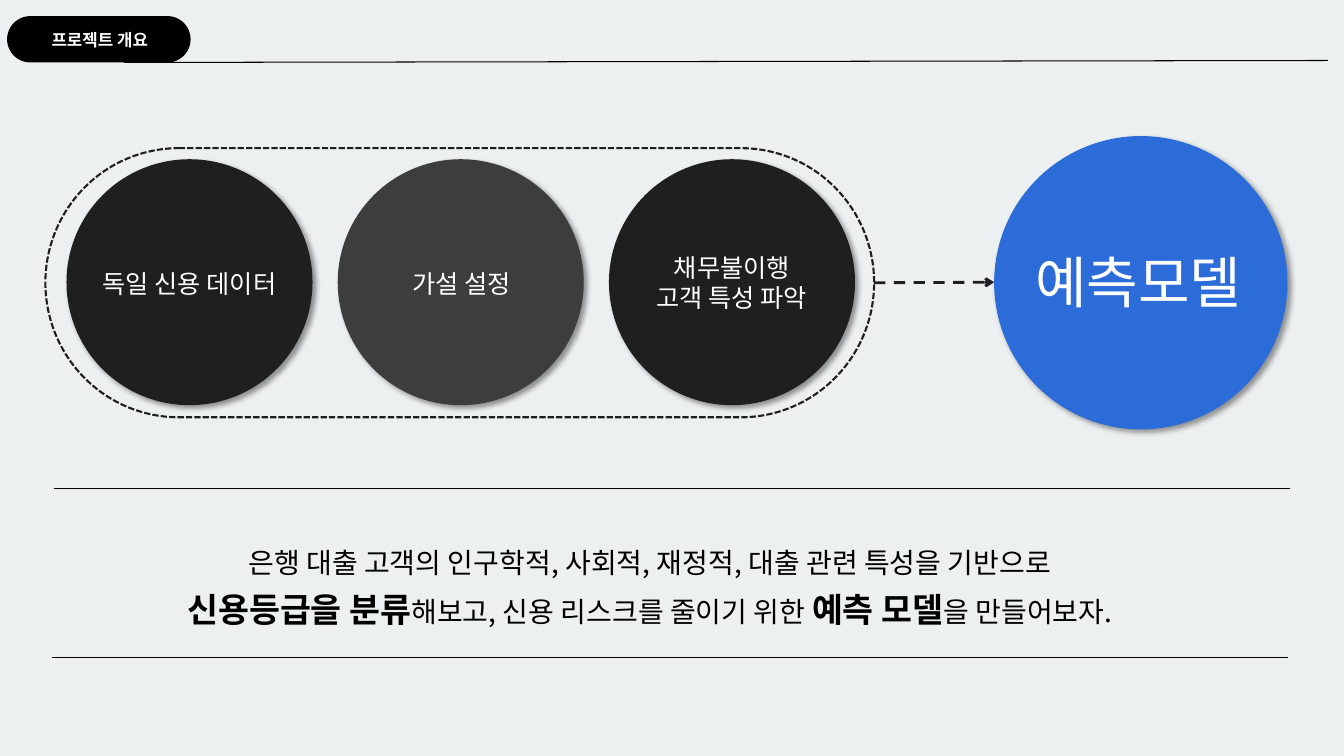
"""Build the project overview slide."""
from dataclasses import dataclass

from lxml import etree
from pptx import Presentation
from pptx.dml.color import RGBColor
from pptx.enum.dml import MSO_LINE
from pptx.enum.shapes import MSO_CONNECTOR, MSO_SHAPE
from pptx.enum.text import MSO_AUTO_SIZE, PP_ALIGN
from pptx.oxml.ns import qn
from pptx.util import Inches, Pt

OVAL = MSO_SHAPE.OVAL
PILL = MSO_SHAPE.ROUNDED_RECTANGLE
TERMINATOR = MSO_SHAPE.FLOWCHART_TERMINATOR
STRAIGHT = MSO_CONNECTOR.STRAIGHT
DASH, SHORT_DASH = MSO_LINE.DASH, MSO_LINE.SQUARE_DOT
LEFT, CENTER = PP_ALIGN.LEFT, PP_ALIGN.CENTER
GROW = MSO_AUTO_SIZE.SHAPE_TO_FIT_TEXT
RIGHT_SIDE = 3


@dataclass(frozen=True)
class Theme:
    """Colours, font and type sizes of the slide."""
    background: str = "EDF0F1"
    black: str = "000000"
    dark: str = "1F1F1F"
    gray: str = "3D3D3D"
    blue: str = "2C6CD9"
    white: str = "FFFFFF"
    font: str = "Noto Sans CJK KR"
    tag: int = 12
    label: int = 18
    body: int = 20
    emphasis: int = 24
    result: int = 40


THEME = Theme()


def color(value):
    """Turn a hex value into a colour."""
    return RGBColor.from_string(value)


def add_shape(slide, kind, box, fill=None):
    """Add a preset shape without outline or shadow."""
    shape = slide.shapes.add_shape(kind, *map(Inches, box))
    shape.shadow.inherit = False
    shape.line.fill.background()
    if fill:
        shape.fill.solid()
        shape.fill.fore_color.rgb = color(fill)
    else:
        shape.fill.background()
    return shape


def add_circle(slide, left, top, diameter, fill):
    """Add a filled circle with a soft shadow to the lower right."""
    circle = add_shape(slide, OVAL, (left, top, diameter, diameter), fill)
    effects = circle._element.spPr.find(qn("a:effectLst"))
    shadow = etree.SubElement(
        effects, qn("a:outerShdw"), blurRad=str(Pt(4)), dist=str(Pt(3)),
        dir="2700000", algn="tl", rotWithShape="0")
    shade = etree.SubElement(shadow, qn("a:srgbClr"), val=THEME.black)
    etree.SubElement(shade, qn("a:alpha"), val="40000")


def style_line(line, stroke, width, dash=None):
    """Set the colour, width and dash of a line."""
    line.color.rgb = color(stroke)
    line.width = Pt(width)
    if dash:
        line.dash_style = dash


def add_line(slide, start, end, stroke=THEME.black, width=0.75, dash=None):
    """Add a straight line without shadow."""
    line = slide.shapes.add_connector(STRAIGHT, *map(Inches, start + end))
    style_line(line.line, stroke, width, dash)
    etree.SubElement(line._element.spPr, qn("a:effectLst"))
    return line


def add_arrow(slide, source, start, end):
    """Add a dashed arrow from the right side of a shape."""
    arrow = add_line(slide, start, end, THEME.dark, 2, DASH)
    etree.SubElement(arrow.line._get_or_add_ln(), qn("a:tailEnd"), type="arrow")
    arrow.begin_connect(source, RIGHT_SIDE)


def add_text(slide, box, paragraphs, fill=THEME.white, align=LEFT,
             spacing=None, wrap=False):
    """Add a text box from paragraphs of (text, size, bold) runs."""
    frame = slide.shapes.add_textbox(*map(Inches, box)).text_frame
    frame.word_wrap = wrap
    frame.auto_size = GROW
    for index, runs in enumerate(paragraphs):
        paragraph = frame.add_paragraph() if index else frame.paragraphs[0]
        paragraph.alignment = align
        paragraph.line_spacing = spacing
        for text, size, bold in runs:
            run = paragraph.add_run()
            run.text = text
            run.font.size = Pt(size)
            run.font.bold = bold
            run.font.name = THEME.font
            run.font.color.rgb = color(fill)
            etree.SubElement(run.font._element, qn("a:ea"), typeface=THEME.font)


def add_result(slide):
    """Add the large circle naming the result."""
    add_circle(slide, 9.86, 1.35, 2.91, THEME.blue)
    add_text(slide, (10.17, 2.41, 2.58, 0.77),
             [[("예측모델", THEME.result, False)]], wrap=True)


def add_summary(slide):
    """Add the goal statement between two rules."""
    for left, top in ((0.54, 4.85), (0.52, 6.52)):
        add_line(slide, (left, top), (left + 12.25, top))
    add_text(slide, (1.62, 5.28, 9.65, 0.99), [
        [("은행 대출 고객의 인구학적, 사회적, 재정적, 대출 관련 특성을 기반으로",
          THEME.body, False)],
        [("신용등급을 분류", THEME.emphasis, True),
         ("해보고, 신용 리스크를 줄이기 위한 ", THEME.body, False),
         ("예측 모델", THEME.emphasis, True),
         ("을 만들어보자.", THEME.body, False)],
    ], THEME.black, CENTER, 1.25)


def add_steps(slide):
    """Add the three step circles, their outline and the arrow."""
    steps = (
        (THEME.dark, (0.92, 2.61, 2, 0.42), LEFT, ["독일 신용 데이터"]),
        (THEME.gray, (3.99, 2.61, 1.22, 0.42), LEFT, ["가설 설정"]),
        (THEME.dark, (6.38, 2.45, 1.76, 0.73), CENTER,
         ["채무불이행", "고객 특성 파악"]),
    )
    for index, (fill, box, align, lines) in enumerate(steps):
        add_circle(slide, 0.66 + 2.69 * index, 1.58, 2.44, fill)
        add_text(slide, box, [[(line, THEME.label, False)] for line in lines],
                 align=align)
    outline = add_shape(slide, TERMINATOR, (0.45, 1.47, 8.22, 2.67))
    style_line(outline.line, THEME.dark, 1.5, SHORT_DASH)
    add_arrow(slide, outline, (8.67, 2.8), (9.86, 2.8))


def add_header(slide):
    """Add the section tag and its rule."""
    tag = add_shape(slide, PILL, (0.07, 0.16, 1.82, 0.46), THEME.black)
    tag.adjustments[0] = 0.5
    add_line(slide, (1.23, 0.62), (13.17, 0.6))
    add_text(slide, (0.4, 0.25, 1.18, 0.3),
             [[("프로젝트 개요", THEME.tag, True)]], align=CENTER)


def main():
    """Build and save the presentation."""
    presentation = Presentation()
    presentation.slide_width = Inches(13.33)
    presentation.slide_height = Inches(7.5)
    slide = presentation.slides.add_slide(presentation.slide_layouts[6])
    slide.background.fill.solid()
    slide.background.fill.fore_color.rgb = color(THEME.background)
    add_result(slide)
    add_summary(slide)
    add_steps(slide)
    add_header(slide)
    presentation.save("out.pptx")


if __name__ == "__main__":
    main()
